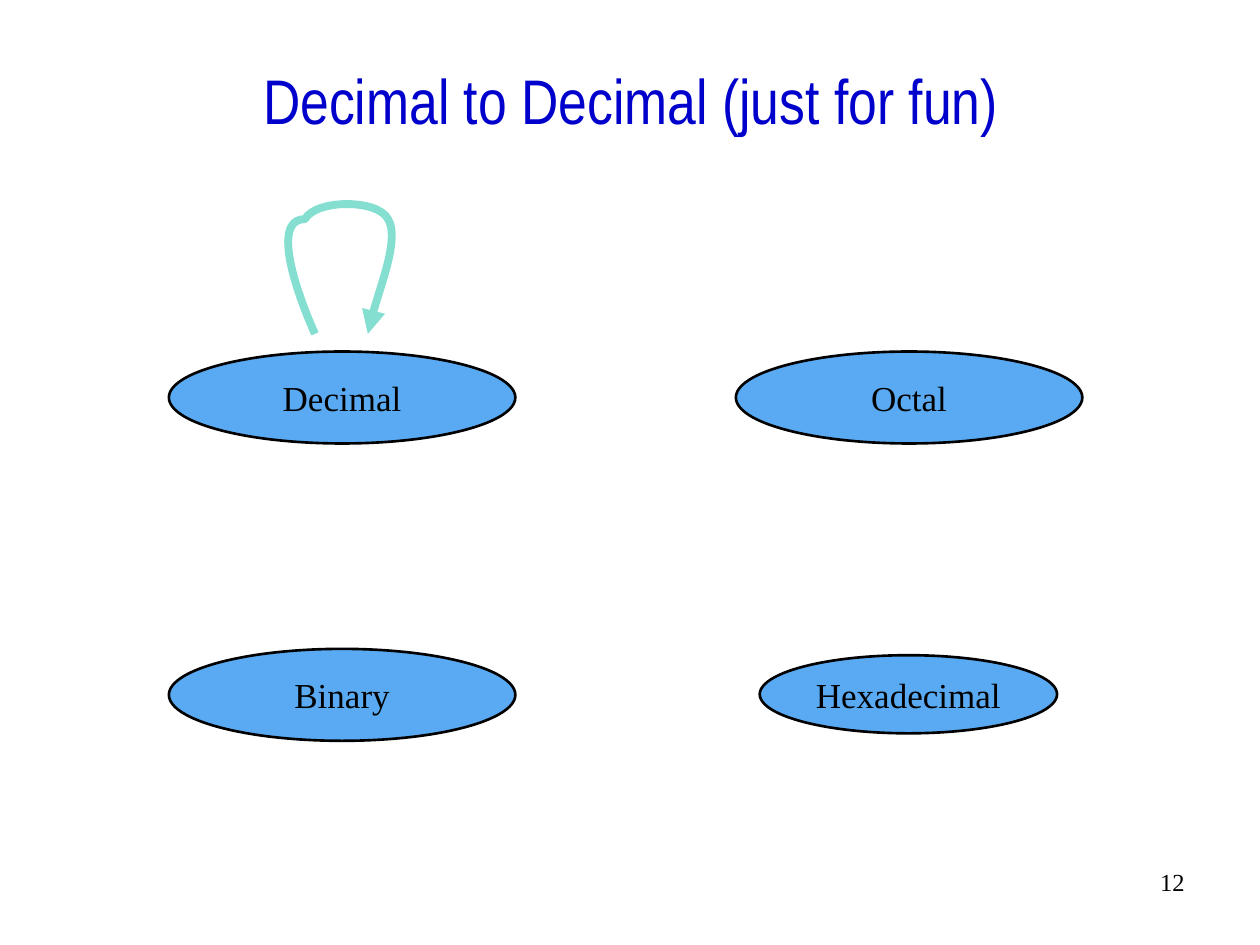
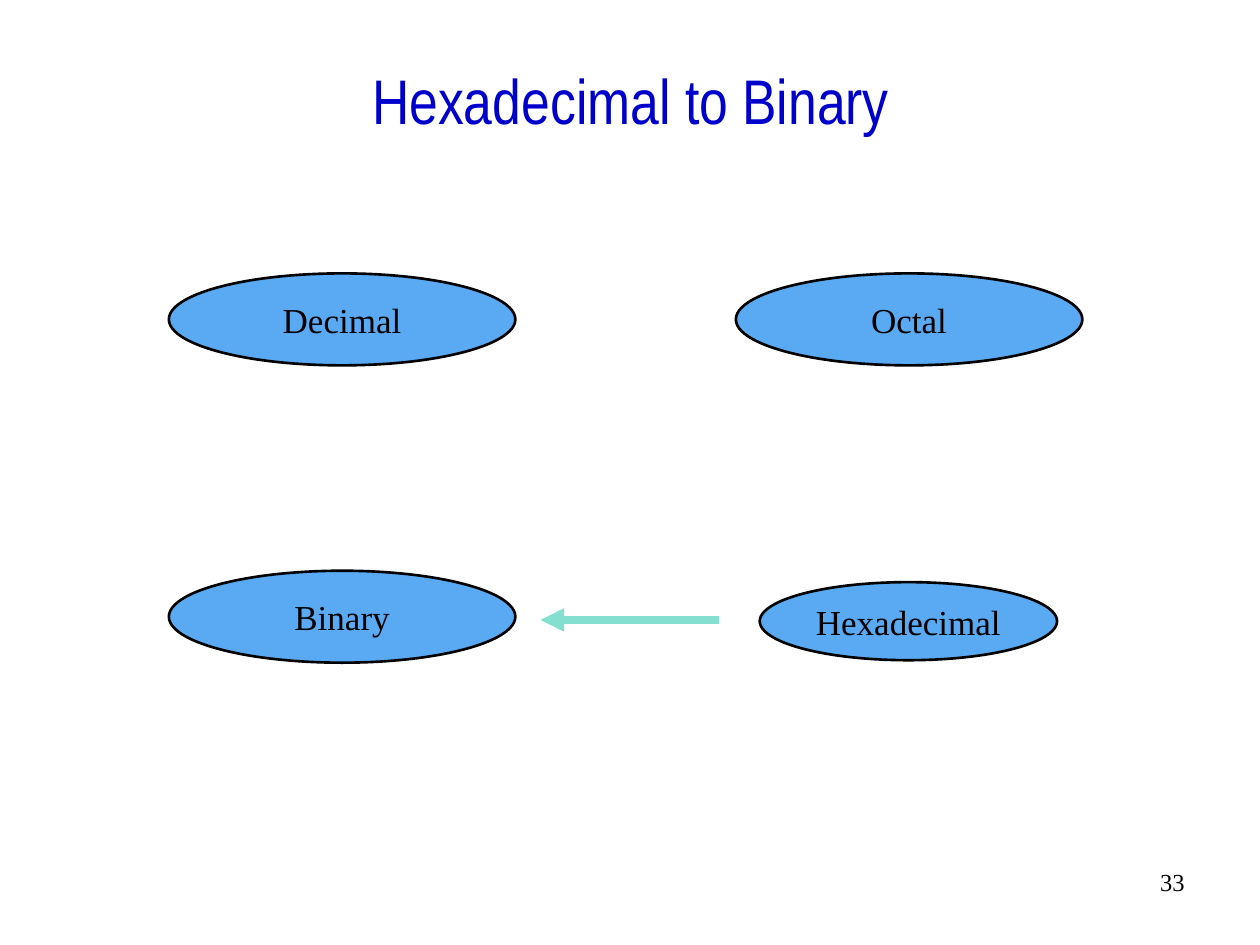
from dataclasses import dataclass

from lxml import etree
from pptx import Presentation, util as u
from pptx.dml.color import RGBColor
from pptx.enum import shapes, text
from pptx.oxml import ns
from pptx.slide import Slide
from pptx.text.text import TextFrame

EMU_PER_PX = 9144  # 100 px to the inch
TITLE_FONT, BODY_FONT = "Arial Narrow", "Times New Roman"
TITLE_BLUE, OVAL_BLUE, ARROW_TEAL, BLACK = "0000CC", "59AAF2", "85DFD0", "000000"

LEFT, COLUMN_STEP, ROW_STEP = 134, 450, 236
OVAL_WIDTH, OVAL_HEIGHT = 275, 73
SMALL_WIDTH, SMALL_HEIGHT = 236, 62

Point = tuple[int, int]


@dataclass(frozen=True)
class Box:
    left: int
    top: int
    width: int
    height: int

    def emu(self) -> tuple[int, int, int, int]:
        return px(self.left), px(self.top), px(self.width), px(self.height)


@dataclass(frozen=True)
class TextStyle:
    font: str
    size: int
    colour: str
    align: text.PP_ALIGN
    anchor: text.MSO_ANCHOR
    wrap: bool = True


@dataclass(frozen=True)
class BaseSlide:
    """A conversion slide: its title, its number and where its ovals stand."""
    title: str
    number: int
    first_row: int
    hexadecimal_top: int


TITLE = TextStyle(TITLE_FONT, 36, TITLE_BLUE, text.PP_ALIGN.CENTER, text.MSO_ANCHOR.MIDDLE)
LABEL = TextStyle(BODY_FONT, 20, BLACK, text.PP_ALIGN.CENTER, text.MSO_ANCHOR.MIDDLE, False)
NUMBER = TextStyle(BODY_FONT, 14, BLACK, text.PP_ALIGN.RIGHT, text.MSO_ANCHOR.TOP)

TITLE_BOX = Box(17, 33, 967, 92)
NUMBER_BOX = Box(742, 683, 208, 50)

DECIMAL_TO_DECIMAL = BaseSlide("Decimal to Decimal (just for fun)", 12, 279, 520)
HEXADECIMAL_TO_BINARY = BaseSlide("Hexadecimal to Binary", 33, 217, 462)

# Start point, then two control points and an end point for each curve
LOOP: list[Point] = [
    (250, 265),
    (250, 265), (208, 174), (242, 174),
    (251, 158), (300, 158), (308, 174),
    (317, 189), (295, 246), (292, 265),
]


def px(length: int) -> u.Emu:
    return u.Emu(length * EMU_PER_PX)


def rgb(colour: str) -> RGBColor:
    return RGBColor.from_string(colour)


def write(frame: TextFrame, words: str, style: TextStyle) -> None:
    frame.word_wrap = style.wrap
    frame.vertical_anchor = style.anchor
    paragraph = frame.paragraphs[0]
    paragraph.text = words
    paragraph.alignment = style.align
    paragraph.font.name = style.font
    paragraph.font.size = u.Pt(style.size)
    paragraph.font.color.rgb = rgb(style.colour)


def add_text(slide: Slide, box: Box, words: str, style: TextStyle) -> None:
    write(slide.shapes.add_textbox(*box.emu()).text_frame, words, style)


def add_oval(slide: Slide, box: Box, label: str) -> None:
    shape = slide.shapes.add_shape(shapes.MSO_SHAPE.OVAL, *box.emu())
    shape.shadow.inherit = False
    shape.fill.solid()
    shape.fill.fore_color.rgb = rgb(OVAL_BLUE)
    shape.line.color.rgb = rgb(BLACK)
    shape.line.width = u.Pt(1.5)
    write(shape.text_frame, label, LABEL)


def style_arrow(shape) -> None:
    """Give a connector or a freeform the teal line with an arrowhead at its end."""
    shape.line.color.rgb = rgb(ARROW_TEAL)
    shape.line.width = u.Pt(4.5)
    line = shape.line._get_or_add_ln()
    etree.SubElement(line, ns.qn("a:tailEnd"), type="triangle")


def add_straight_arrow(slide: Slide, start: Point, end: Point) -> None:
    connector = slide.shapes.add_connector(
        shapes.MSO_CONNECTOR.STRAIGHT, *(px(value) for value in start + end))
    style_arrow(connector)
    etree.SubElement(connector._element.spPr, ns.qn("a:effectLst"))


def add_curved_arrow(slide: Slide, points: list[Point]) -> None:
    builder = slide.shapes.build_freeform(*points[0], scale=EMU_PER_PX)
    builder.add_line_segments(points[1:], close=False)
    shape = builder.convert_to_shape()
    shape.shadow.inherit = False
    shape.fill.background()
    style_arrow(shape)

    # Every three straight segments become one cubic curve
    segments = list(shape._element.iter(ns.qn("a:lnTo")))
    for first in range(0, len(segments), 3):
        curve = etree.SubElement(segments[first].getparent(), ns.qn("a:cubicBezTo"))
        for segment in segments[first:first + 3]:
            curve.append(segment[0])
            segment.getparent().remove(segment)


def add_base_slide(presentation, content: BaseSlide) -> Slide:
    """Add a slide with its title, the four number bases and the slide number."""
    slide = presentation.slides.add_slide(presentation.slide_layouts[6])
    add_text(slide, TITLE_BOX, content.title, TITLE)

    small_left = LEFT + COLUMN_STEP + (OVAL_WIDTH - SMALL_WIDTH) // 2
    add_oval(slide, Box(small_left, content.hexadecimal_top, SMALL_WIDTH, SMALL_HEIGHT),
             "Hexadecimal")
    for label, column, row in (("Decimal", 0, 0), ("Octal", 1, 0), ("Binary", 0, 1)):
        add_oval(slide, Box(LEFT + column * COLUMN_STEP, content.first_row + row * ROW_STEP,
                            OVAL_WIDTH, OVAL_HEIGHT), label)

    add_text(slide, NUMBER_BOX, str(content.number), NUMBER)
    return slide


def main() -> None:
    presentation = Presentation()
    presentation.slide_width, presentation.slide_height = px(1000), px(750)
    add_curved_arrow(add_base_slide(presentation, DECIMAL_TO_DECIMAL), LOOP)
    add_straight_arrow(add_base_slide(presentation, HEXADECIMAL_TO_BINARY),
                       (571, 492), (429, 492))
    presentation.save("out.pptx")


if __name__ == "__main__":
    main()
